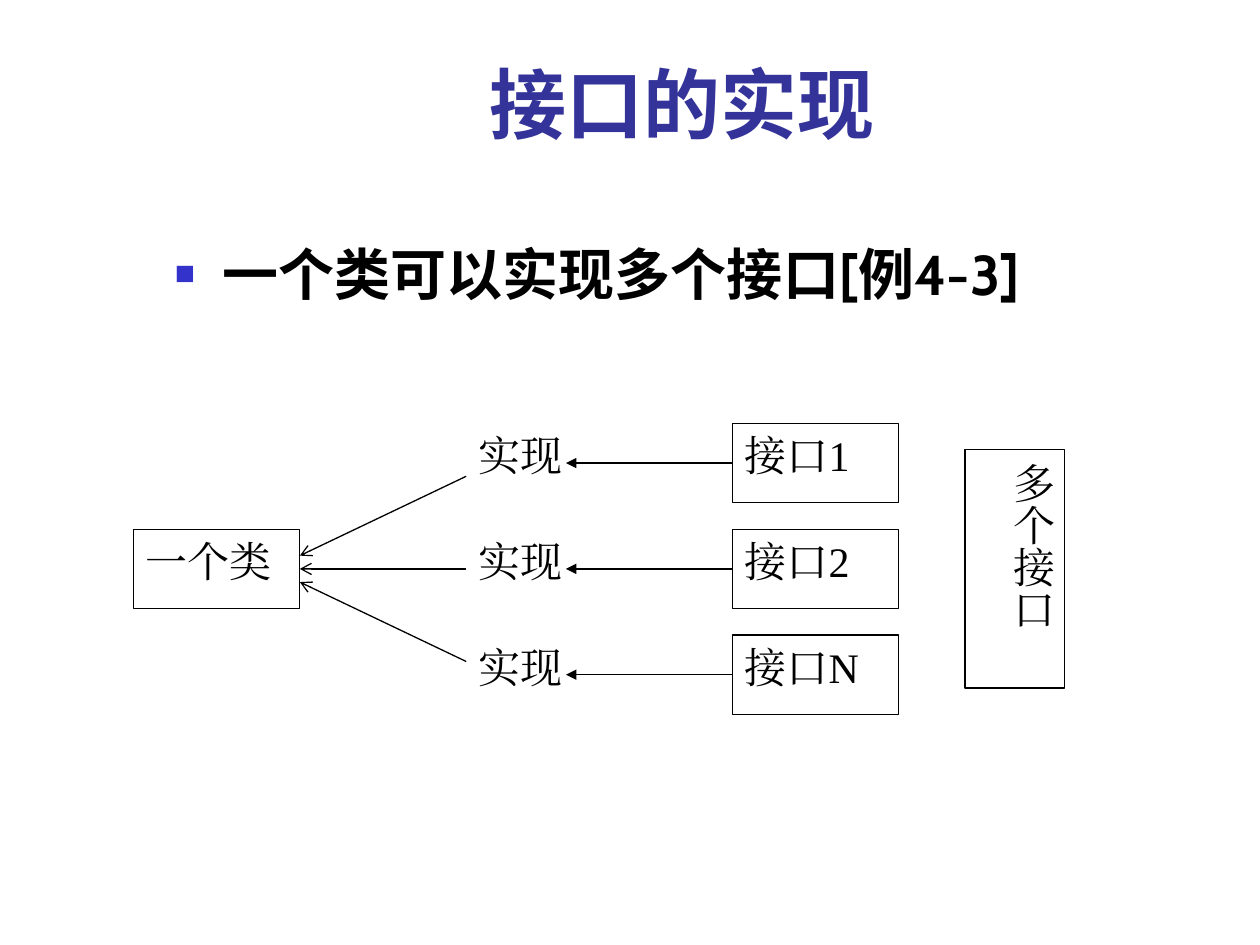
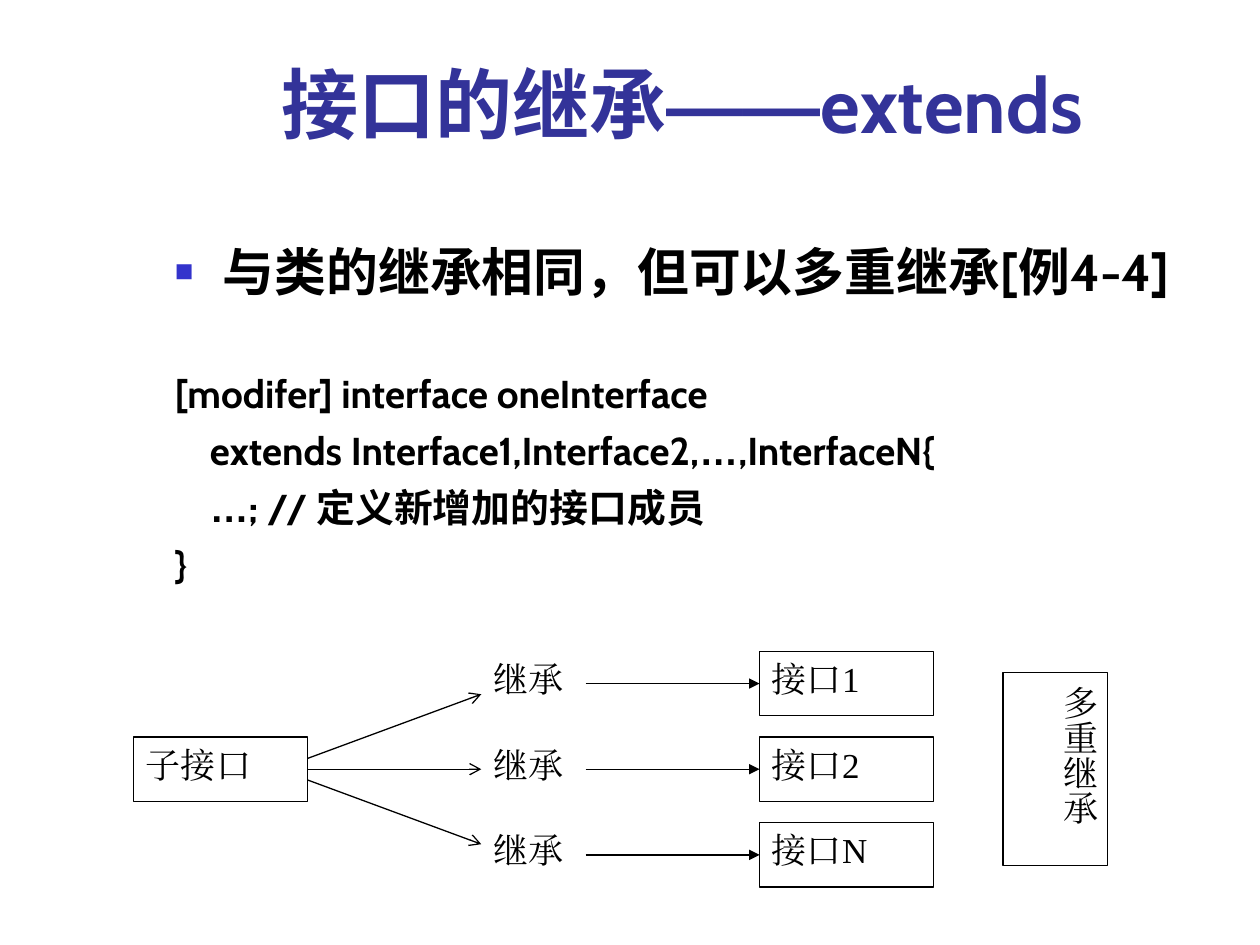
from lxml.etree import SubElement
from pptx import Presentation
from pptx.dml.color import RGBColor
from pptx.enum.shapes import MSO_CONNECTOR as LINK, MSO_SHAPE as SHAPE
from pptx.enum.text import MSO_ANCHOR as ANCHOR, MSO_AUTO_SIZE as FIT, PP_ALIGN as ALIGN
from pptx.oxml.ns import qn
from pptx.util import Inches, Pt

COLOURS = {"title": "333399", "bullet": "3333CC", "ink": "000000"}
HEADING, SYMBOL, DIAGRAM = "Cabin", "Arial", "Times New Roman"
LEFT = 1.06        # left edge of both diagrams

SLIDES = [
    {
        "title": [("接口的实现", HEADING)],
        "point": "一个类可以实现多个接口[例4-3]", "point_size": 32,
        "body_size": (7.17, 1.27),
        "code": [],
        "source": "一个类", "relation": "实现", "summary": "多个接口",
        "size": 24, "top": 3.36, "column": 1.32, "row": 0.21,
        "to_interfaces": False,
    },
    {
        "title": [("接口的继承", HEADING), ("——", SYMBOL), ("extends", HEADING)],
        "point": "与类的继承相同，但可以多重继承[例4-4]", "point_size": 29.6,
        "body_size": (8.5, 3.16),
        "code": [
            [("[modifer] interface oneInterface", HEADING)],
            [("    extends Interface1,Interface2,", HEADING), ("…", SYMBOL),
             (",InterfaceN{", HEADING)],
            [("    ", HEADING), ("…", SYMBOL), ("; // 定义新增加的接口成员", HEADING)],
            [("}", HEADING)],
        ],
        "source": "子接口", "relation": "继承", "summary": "多重继承",
        "size": 20, "top": 5.17, "column": 1.38, "row": 0.17,
        "to_interfaces": True,
    },
]


def write(paragraph, runs, size, colour="ink", bold=False):
    for words, font_name in runs:
        run = paragraph.add_run()
        run.text = words
        run.font.size, run.font.bold = Pt(size), bold
        run.font.color.rgb = RGBColor.from_string(COLOURS[colour])
        run.font.name = font_name
        SubElement(run.font._element, qn("a:ea"), typeface=font_name)


def arrow(shapes, box_end, label_end, head, to_box, box=None, site=None):
    """Draw between a box and a label; join the box when the line meets a side's middle."""
    start, end = (label_end, box_end) if to_box else (box_end, label_end)
    line = shapes.add_connector(LINK.STRAIGHT, *start, *end)
    if box is not None:
        join = line.end_connect if to_box else line.begin_connect
        join(box, site)
    line.line.color.rgb = RGBColor.from_string(COLOURS["ink"])
    line.line.width = Pt(0.75)
    SubElement(line.line._get_or_add_ln(), qn("a:tailEnd"), type=head)
    SubElement(line._element.spPr, qn("a:effectLst"))


deck = Presentation()
deck.slide_width, deck.slide_height = Inches(10), Inches(7.5)

for content in SLIDES:
    slide = deck.slides.add_slide(deck.slide_layouts[5])
    shapes = slide.shapes

    # Title
    title = shapes.title
    title.left, title.top = Inches(1.26), Inches(0.23)
    title.width, title.height = Inches(8.31), Inches(1)
    title.text_frame.auto_size = FIT.NONE
    title.text_frame.vertical_anchor = ANCHOR.BOTTOM
    heading = title.text_frame.paragraphs[0]
    heading.alignment = ALIGN.CENTER
    write(heading, content["title"], 44, "title", True)

    # Bulleted point, followed by code lines
    body_width, body_height = content["body_size"]
    body = shapes.add_textbox(Inches(1.29), Inches(1.85),
                              Inches(body_width), Inches(body_height)).text_frame
    body.word_wrap = True
    point = body.paragraphs[0]
    indent = Inches(0.38)
    properties = point._p.get_or_add_pPr()
    properties.set("marL", str(indent))
    properties.set("indent", str(-indent))
    bullet_colour = SubElement(properties, qn("a:buClr"))
    SubElement(bullet_colour, qn("a:srgbClr"), val=COLOURS["bullet"])
    SubElement(properties, qn("a:buSzPct"), val="60000")
    SubElement(properties, qn("a:buFont"), typeface=SYMBOL)
    SubElement(properties, qn("a:buChar"), char="■")
    write(point, [(content["point"], HEADING)], content["point_size"], bold=True)
    for number, runs in enumerate(content["code"]):
        code_line = body.add_paragraph()
        code_line.space_before = Pt(6 if number else 39)
        write(code_line, runs, 22.2, bold=True)

    # Diagram cells: words, column, row, columns wide, rows high, framed
    cells = [(content["source"], 0, 4, 1, 3, True)]
    cells += [(content["relation"], 2, 4 * i, 0.8, 3, False) for i in range(3)]
    cells += [(f"接口{mark}", 3.6, 4 * i, 1, 3, True) for i, mark in enumerate("12N")]
    cells += [(content["summary"], 5, 1, 0.6, 9, True)]
    column, row = Inches(content["column"]), Inches(content["row"])
    left, top = Inches(LEFT), Inches(content["top"])
    placed = []
    for words, across, down, wide, high, framed in cells:
        area = [int(left + across * column), int(top + down * row),
                int(wide * column), int(high * row)]
        if framed:
            cell = shapes.add_shape(SHAPE.RECTANGLE, *area)
            cell.shadow.inherit = False
            cell.fill.background()
            cell.line.color.rgb = RGBColor.from_string(COLOURS["ink"])
            cell.line.width = Pt(0.75)
        else:
            cell = shapes.add_textbox(*area)
        frame = cell.text_frame
        frame.word_wrap = True
        frame.vertical_anchor = ANCHOR.TOP
        if words == content["summary"]:
            frame._txBody.bodyPr.set("vert", "eaVert")
            frame.margin_left = frame.margin_right = Inches(0.05)
            frame.margin_top = frame.margin_bottom = Inches(0.1)
        frame.paragraphs[0].alignment = ALIGN.JUSTIFY
        write(frame.paragraphs[0], [(words, DIAGRAM)], content["size"])
        placed.append(cell)
    source, interfaces = placed[0], placed[4:7]

    # Arrows between labels and interfaces
    to_interfaces = content["to_interfaces"]
    for interface in interfaces:
        middle = interface.top + interface.height // 2
        arrow(shapes, (interface.left, middle), (int(left + 2.6 * column), middle),
              "triangle", to_interfaces, interface, 1)

    # Arrows between the source box and the labels, as rows of the grid
    for source_row, label_row in [(5, 2), (5.5, 5.5), (6, 9)]:
        joined = (source, 3) if source_row == 5.5 else ()
        arrow(shapes, (left + column, int(top + source_row * row)),
              (left + 2 * column, int(top + label_row * row)),
              "arrow", not to_interfaces, *joined)

deck.save("out.pptx")
